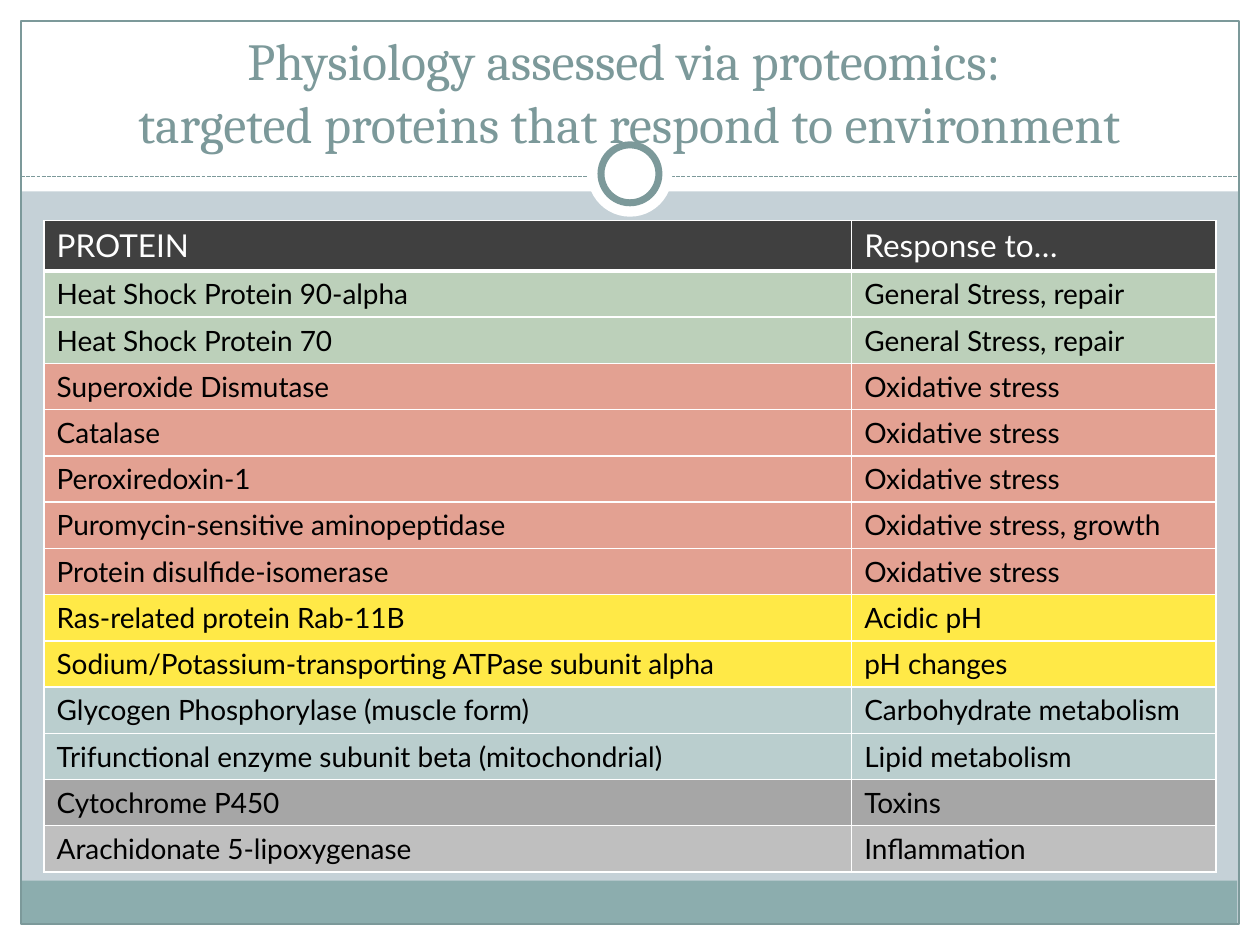
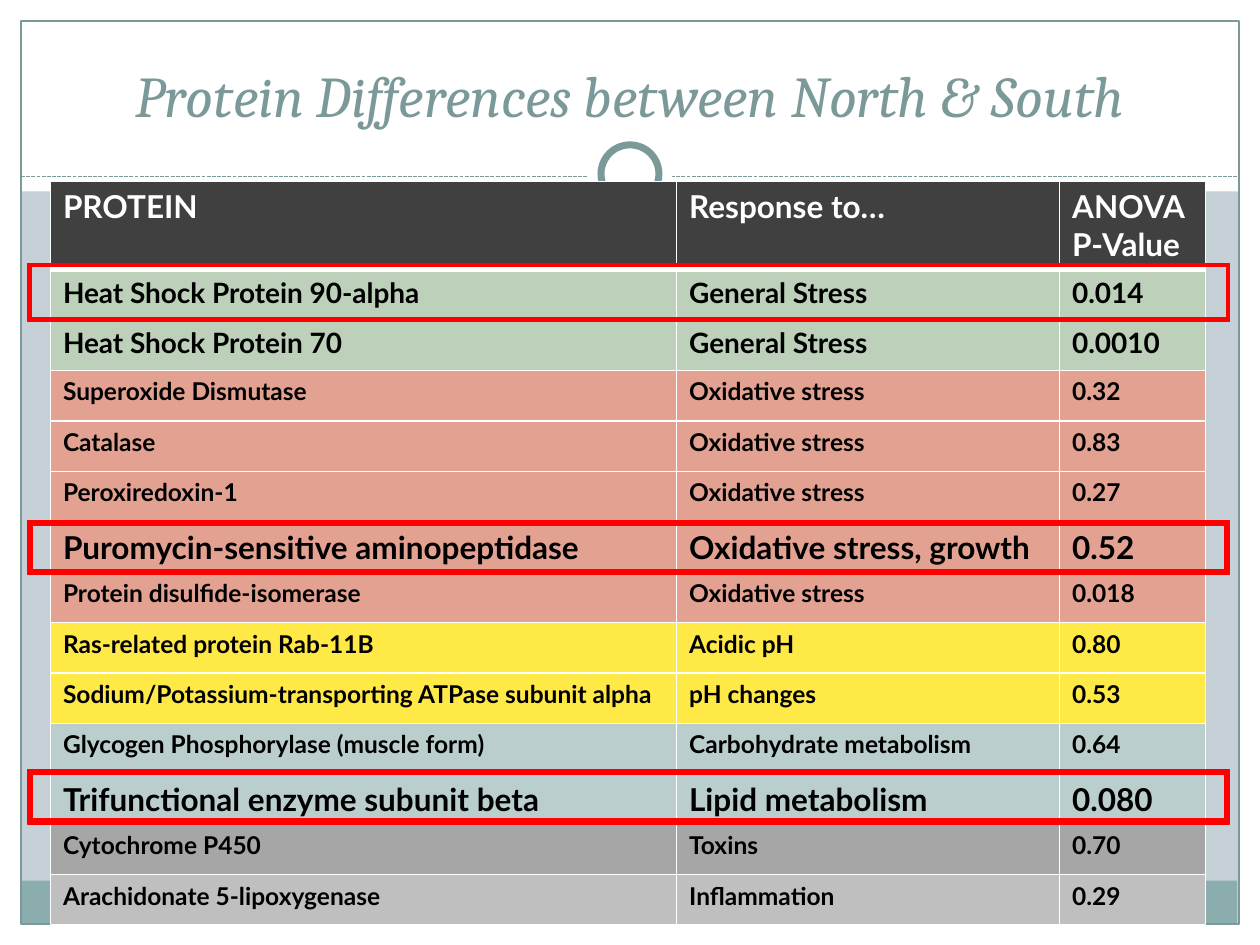
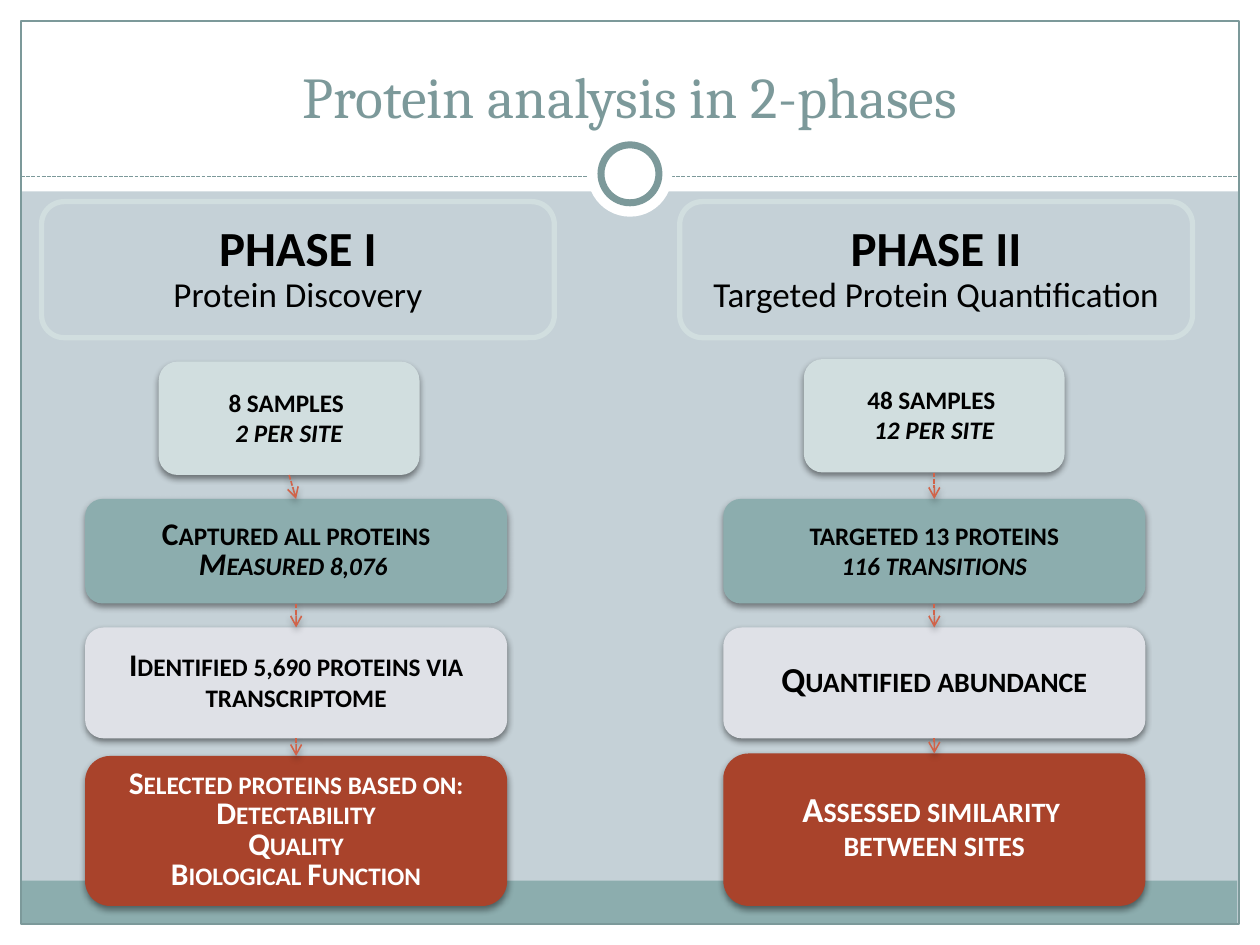
from itertools import pairwise

from lxml.etree import SubElement
from pptx import Presentation
from pptx.dml.color import RGBColor
from pptx.enum.dml import MSO_LINE
from pptx.enum.shapes import MSO_CONNECTOR, MSO_SHAPE
from pptx.enum.text import MSO_ANCHOR, PP_ALIGN
from pptx.oxml.ns import qn
from pptx.util import Inches, Pt

COLUMNS, ROWS = 100, 75
WHITE, BLACK, RED = "FFFFFF", "000000", "FF0000"
SKY, TEAL, SLATE = "C5D1D7", "8CADAE", "7C999A"
MINT, LILAC, RUST, CORAL, CHARCOAL = "D1DEDF", "DFE1E7", "A9432B", "D16349", "404040"
GREEN, SALMON, YELLOW, AQUA, GREY, SILVER = (
    "BCD0BA", "E3A192", "FFE947", "BACECE", "A6A6A6", "BFBFBF")
TITLE_FONT, TABLE_FONT, FLOW_FONT = "Cambria", "Lato", "Calibri"

PROTEINS = [
    ("Heat Shock Protein 90-alpha", "General Stress, repair", "0.014", GREEN, 16),
    ("Heat Shock Protein 70", "General Stress, repair", "0.0010", GREEN, 16),
    ("Superoxide Dismutase", "Oxidative stress", "0.32", SALMON, 14),
    ("Catalase", "Oxidative stress", "0.83", SALMON, 14),
    ("Peroxiredoxin-1", "Oxidative stress", "0.27", SALMON, 14),
    ("Puromycin-sensitive aminopeptidase", "Oxidative stress, growth", "0.52", SALMON, 18),
    ("Protein disulfide-isomerase", "Oxidative stress", "0.018", SALMON, 14),
    ("Ras-related protein Rab-11B", "Acidic pH", "0.80", YELLOW, 14),
    ("Sodium/Potassium-transporting ATPase subunit alpha", "pH changes", "0.53", YELLOW, 14),
    ("Glycogen Phosphorylase (muscle form)", "Carbohydrate metabolism", "0.64", AQUA, 14),
    ("Trifunctional enzyme subunit beta (mitochondrial)", "Lipid metabolism", "0.080", AQUA, 18),
    ("Cytochrome P450", "Toxins", "0.70", GREY, 14),
    ("Arachidonate 5-lipoxygenase", "Inflammation", "0.29", SILVER, 14),
]


def cells(*counts):
    """Turn counts of grid cells, a tenth of an inch each, into lengths."""
    return [Inches(n / 10) for n in counts]


def rgb(value):
    """Return the colour of a hex string."""
    return RGBColor.from_string(value)


def style(p, size, font, color=BLACK, bold=False, italic=False, small=False):
    """Set the font of a whole paragraph."""
    f = p.font
    f.size, f.name, f.bold, f.italic = Pt(size), font, bold, italic
    f.color.rgb = rgb(color)
    if small:
        p._p.pPr.find(qn("a:defRPr")).set("cap", "small")


def write(tf, lines, spacing=1.0, **look):
    """Fill a frame with centred paragraphs given as (text, changes to the look)."""
    tf.word_wrap = True
    for i, (text, changes) in enumerate(lines):
        p = tf.add_paragraph() if i else tf.paragraphs[0]
        p.text, p.alignment, p.line_spacing = text, PP_ALIGN.CENTER, spacing
        style(p, **{**look, **changes})


def add_shadow(shape, alpha):
    """Give a shape or connector a soft shadow straight below it."""
    sp_pr = shape._element.spPr
    effects = sp_pr.find(qn("a:effectLst"))
    if effects is None:
        effects = SubElement(sp_pr, qn("a:effectLst"))
    if alpha:
        shadow = SubElement(effects, qn("a:outerShdw"), blurRad=str(Pt(4)),
                            dist=str(Pt(2)), dir="5400000", rotWithShape="0")
        color = SubElement(shadow, qn("a:srgbClr"), val=BLACK)
        SubElement(color, qn("a:alpha"), val=str(alpha * 1000))


def add_box(s, at, kind=MSO_SHAPE.RECTANGLE, fill=None, line=None, width=0.75, shadow=0):
    """Add a preset shape."""
    sp = s.shapes.add_shape(kind, *cells(*at))
    sp.shadow.inherit = False
    if fill:
        sp.fill.solid()
        sp.fill.fore_color.rgb = rgb(fill)
    else:
        sp.fill.background()
    if line:
        sp.line.color.rgb, sp.line.width = rgb(line), Pt(width)
    else:
        sp.line.fill.background()
    if shadow:
        add_shadow(sp, shadow)
    return sp


def add_dashes(s, ends, color, width, shadow=0):
    """Add a dashed straight connector."""
    c = s.shapes.add_connector(MSO_CONNECTOR.STRAIGHT, *cells(*ends))
    c.line.color.rgb, c.line.width = rgb(color), Pt(width)
    c.line.dash_style = MSO_LINE.SQUARE_DOT
    add_shadow(c, shadow)
    return c


def add_arrow(s, upper, lower):
    """Join the bottom of one box to the top of the next."""
    c = add_dashes(s, (0, 0, 0, 0), CORAL, 0.9, 35)
    c.begin_connect(upper, 2)
    c.end_connect(lower, 0)
    SubElement(c._element.spPr.find(qn("a:ln")), qn("a:tailEnd"), type="arrow")


def add_slide(prs, title, top, height, size=33, italic=False):
    """Add a slide with the shared bands, frame, ring and title."""
    s = prs.slides.add_slide(prs.slide_layouts[6])
    edge = 1.67
    for at in ((0, ROWS - edge, COLUMNS, edge), (0, 0, COLUMNS, 15.2),
               (0, 0, edge, ROWS), (COLUMNS - edge, 0, edge, ROWS)):
        add_box(s, at, fill=WHITE)
    add_box(s, (1.6, 69.9, 96.6, 3.4), fill=TEAL)
    add_box(s, (edge, edge, COLUMNS - 2 * edge, ROWS - 2 * edge), line=SLATE)
    add_dashes(s, (edge, 14, COLUMNS - edge, 14), SLATE, 0.75)
    add_box(s, (46.65, 10.5, 6.7, 6.7), MSO_SHAPE.OVAL, WHITE)
    add_box(s, (47.7, 11.5, 4.6, 4.6), MSO_SHAPE.OVAL, WHITE, SLATE, 4)
    tf = s.shapes.add_textbox(*cells(3.33, top, 93.34, height)).text_frame
    tf.vertical_anchor = MSO_ANCHOR.BOTTOM
    write(tf, [(title, {})], size=size, font=TITLE_FONT, color=SLATE, italic=italic)
    return s


def set_borders(cell, bottom):
    """Draw white borders round a table cell."""
    tc_pr = cell._tc.get_or_add_tcPr()
    for i, (side, width) in enumerate((("L", 1), ("R", 1), ("T", 1), ("B", bottom))):
        ln = SubElement(tc_pr, qn(f"a:ln{side}"), w=str(Pt(width)))
        SubElement(SubElement(ln, qn("a:solidFill")), qn("a:srgbClr"), val=WHITE)
        tc_pr.insert(i, ln)


def add_protein_table(s, left, top, widths, heights, records, bold=False):
    """Add a table from records of (texts, fill, size), the header first."""
    header, row = heights
    total = header + row * (len(records) - 1)
    table = s.shapes.add_table(len(records), len(widths),
                               *cells(left, top, sum(widths), total)).table
    table.first_row = table.horz_banding = False
    for column, width in zip(table.columns, cells(*widths)):
        column.width = width
    for r, (texts, fill, size) in enumerate(records):
        table.rows[r].height = cells(row if r else header)[0]
        for cell, text in zip(table.rows[r].cells, texts):
            cell.fill.solid()
            cell.fill.fore_color.rgb = rgb(fill)
            set_borders(cell, bottom=3 if r in (0,) else 1)
            p = cell.text_frame.paragraphs[0]
            p.text = text
            style(p, size, TABLE_FONT, BLACK if r else WHITE, bold)


def add_phase(s, left, heading, sample, last, steps):
    """Add one phase: a heading panel and four steps joined by arrows."""
    panel = add_box(s, (left, 16, 40.7, 10.8), MSO_SHAPE.FLOWCHART_ALTERNATE_PROCESS,
                    line=MINT, width=3)
    name, topic = heading
    write(panel.text_frame, [(name, {"size": 28, "bold": True}), (topic, {})],
          0.9, size=20, font=FLOW_FONT)
    x, width = left + 3.45, 33.5
    places = [(*sample, 20.7, 9), (x, 39.6, width, 8.3), (x, 49.8, width, 8.8),
              (x, last, width, 71.9 - last)]
    boxes = []
    for at, fill, (size, lines) in zip(places, (MINT, TEAL, LILAC, RUST), steps):
        box = add_box(s, at, MSO_SHAPE.FLOWCHART_ALTERNATE_PROCESS, fill, shadow=45)
        write(box.text_frame, lines, 0.8, size=size, font=FLOW_FONT, bold=True,
              small=True, color=WHITE if fill == RUST else BLACK)
        boxes.append(box)
    for upper, lower in pairwise(boxes):
        add_arrow(s, upper, lower)


def add_targets_slide(prs):
    """Add the slide that lists the targeted proteins."""
    s = add_slide(prs, "Physiology assessed via proteomics: \v"
                  "targeted proteins that respond to environment", 4.4, 8.3, 29.7)
    records = [(("PROTEIN", "Response to…"), CHARCOAL, 18)]
    records += [((name, response), fill, 16) for name, response, _, fill, _ in PROTEINS]
    add_protein_table(s, 3.5, 17.5, (64.1, 28.9), (3.6, 3.6), records)


def add_differences_slide(prs):
    """Add the slide that compares proteins between north and south."""
    s = add_slide(prs, "Protein Differences between North & South", 3.9, 6.8, italic=True)
    records = [(("PROTEIN", "Response to…", "ANOVA P-Value"), CHARCOAL, 18)]
    records += [((name.removesuffix(" (mitochondrial)"), response.removesuffix(", repair"),
                  p_value), fill, size) for name, response, p_value, fill, size in PROTEINS]
    add_protein_table(s, 4, 14.4, (49.7, 30.4, 11.6), (6.9, 4), records, bold=True)
    for top, height, thickness in ((20.9, 4.6, 0.06), (41.3, 4.3, 0.09), (61.1, 4.3, 0.09)):
        frame = add_box(s, (2.2, top, 95.4, height), MSO_SHAPE.FRAME, RED, RED)
        frame.adjustments[0] = thickness


def add_phases_slide(prs):
    """Add the slide that sets the two phases side by side."""
    s = add_slide(prs, "Protein analysis in 2-phases", 2.5, 8.3)
    italic = {"italic": True}
    add_phase(s, 3.3, ("PHASE I", "Protein Discovery"), (12.6, 28.7), 60, [
        (18, [("8 samples ", {}), ("2 per site", italic)]),
        (18, [("Captured all proteins", {}), ("Measured 8,076 ", italic)]),
        (18, [("Identified 5,690 proteins via transcriptome", {})]),
        (18, [("Selected proteins based on:", {}), ("Detectability", {}),
              ("Quality", {}), ("Biological Function", {})]),
    ])
    add_phase(s, 53.95, ("PHASE II", "Targeted Protein Quantification"), (63.8, 28.5), 59.8, [
        (18, [("48 samples ", {}), ("12 per site", italic)]),
        (18, [("targeted 13 proteins", {}), ("116 transitions", italic)]),
        (20, [("Quantified abundance", {})]),
        (20, [("Assessed similarity ", {}), ("between sites", {})]),
    ])


def main():
    """Build the three slides and save them."""
    prs = Presentation()
    prs.slide_width, prs.slide_height = cells(COLUMNS, ROWS)
    fill = prs.slide_master.background.fill
    fill.solid()
    fill.fore_color.rgb = rgb(SKY)
    add_targets_slide(prs)
    add_differences_slide(prs)
    add_phases_slide(prs)
    prs.save("out.pptx")


if __name__ == "__main__":
    main()
